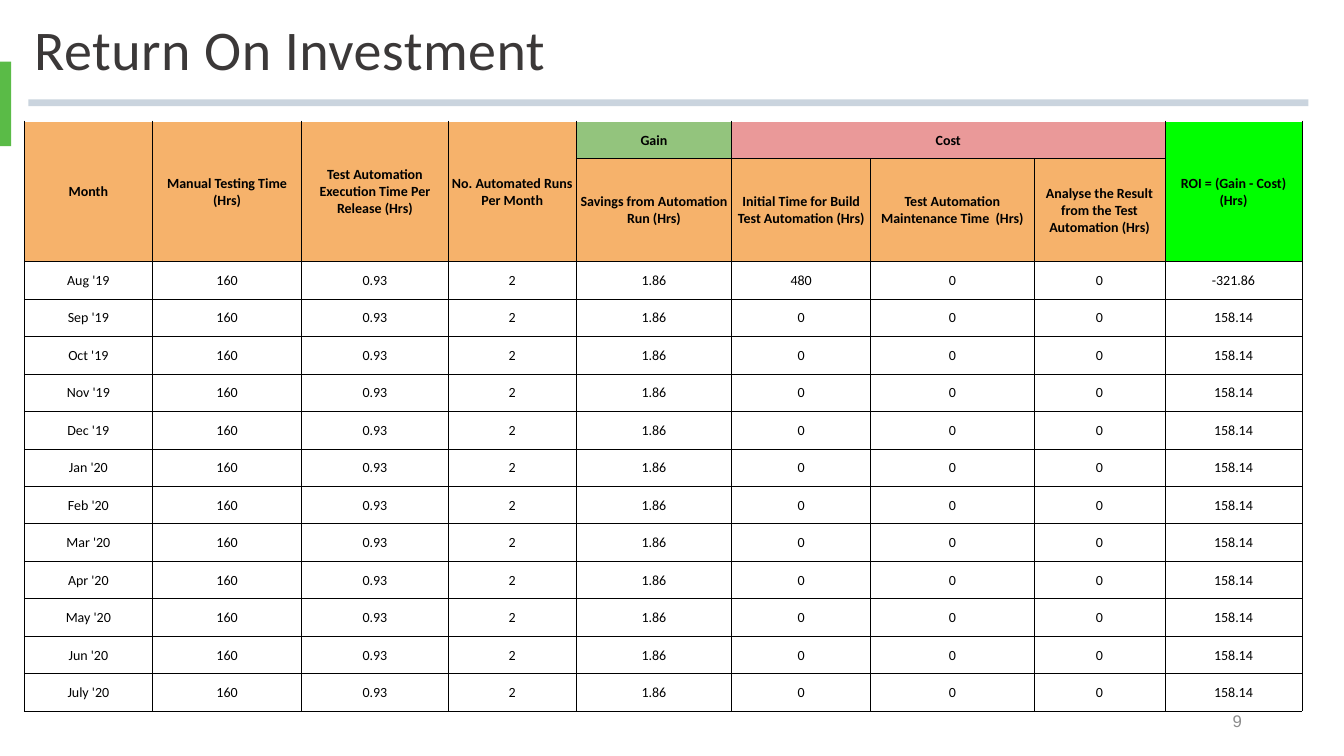
from dataclasses import dataclass

from lxml.etree import SubElement
from pptx import Presentation
from pptx.dml.color import RGBColor
from pptx.enum.shapes import MSO_CONNECTOR, MSO_SHAPE
from pptx.enum.text import MSO_ANCHOR, PP_ALIGN
from pptx.oxml import parse_xml
from pptx.oxml.ns import nsdecls, qn
from pptx.slide import Slide
from pptx.table import Table, _Cell
from pptx.text.text import TextFrame, _Run
from pptx.util import Pt


@dataclass(frozen=True)
class Theme:
    title: str = "3B3838"
    page: str = "8C8C8C"
    rule: str = "507392"
    accent: str = "5ABB47"
    ink: str = "000000"
    header: str = "F6B26B"
    gain: str = "93C47D"
    cost: str = "EA9999"
    roi: str = "00FF00"
    body_font: str = "Calibri"
    page_font: str = "Arial"
    title_size: float = 40
    page_size: float = 12
    table_size: float = 10
    border: float = 0.5


@dataclass(frozen=True)
class Header:
    row: int
    col: int
    text: str
    fill: str
    rows: int = 1
    cols: int = 1


@dataclass(frozen=True)
class TextBox:
    text: str
    left: float
    top: float
    width: float
    height: float
    font: str
    size: float
    color: str
    align: PP_ALIGN
    anchor: MSO_ANCHOR
    line_spacing: float = 1.0
    tracking: int = 0


T = Theme()

COLUMN_WIDTHS = [91.6, 106.6, 104.6, 91.6, 110.9, 99.4, 116.6, 93.6, 97.9]
ROW_HEIGHT = 26.76
SUBHEADER_HEIGHT = 73.5

HEADERS = [
    Header(0, 0, "Month", T.header, rows=2),
    Header(0, 1, "Manual Testing Time (Hrs)", T.header, rows=2),
    Header(0, 2, "Test Automation Execution Time Per Release (Hrs)", T.header, rows=2),
    Header(0, 3, "No. Automated Runs Per Month", T.header, rows=2),
    Header(0, 4, "Gain", T.gain),
    Header(0, 5, "Cost", T.cost, cols=3),
    Header(0, 8, "ROI = (Gain - Cost) (Hrs)", T.roi, rows=2),
    Header(1, 4, "Savings from Automation Run (Hrs)", T.header),
    Header(1, 5, "Initial Time for Build Test Automation (Hrs)", T.header),
    Header(1, 6, "Test Automation Maintenance Time  (Hrs)", T.header),
    Header(1, 7, "Analyse the Result from the Test Automation (Hrs)", T.header),
]

MONTHS = ["Aug '19", "Sep '19", "Oct '19", "Nov '19", "Dec '19", "Jan '20",
          "Feb '20", "Mar '20", "Apr '20", "May '20", "Jun '20", "July '20"]
FIRST_MONTH = ["160", "0.93", "2", "1.86", "480", "0", "0", "-321.86"]
LATER_MONTH = ["160", "0.93", "2", "1.86", "0", "0", "0", "158.14"]

TEXT_BOXES = [
    TextBox("Return On Investment", 17.3, 5.8, 710, 56.9, T.body_font, T.title_size,
            T.title, PP_ALIGN.LEFT, MSO_ANCHOR.BOTTOM, line_spacing=0.9, tracking=40),
    TextBox("9", 678.2, 500.4, 216, 28.8, T.page_font, T.page_size,
            T.page, PP_ALIGN.RIGHT, MSO_ANCHOR.MIDDLE),
]


def rgb(color: str) -> RGBColor:
    return RGBColor.from_string(color)


def add_run(tf: TextFrame, text: str, align: PP_ALIGN, font: str, size: float,
            color: str, bold: bool = False) -> _Run:
    p = tf.paragraphs[0]
    p.alignment = align
    r = p.add_run()
    r.text = text
    r.font.name = font
    r.font.size = Pt(size)
    r.font.bold = bold
    r.font.color.rgb = rgb(color)
    return r


def add_text_box(s: Slide, box: TextBox) -> None:
    sp = s.shapes.add_textbox(Pt(box.left), Pt(box.top), Pt(box.width), Pt(box.height))
    tf = sp.text_frame
    tf.word_wrap = True
    tf.vertical_anchor = box.anchor
    r = add_run(tf, box.text, box.align, box.font, box.size, box.color)
    tf.paragraphs[0].line_spacing = box.line_spacing
    if box.tracking:
        r.font._element.set("spc", str(box.tracking))


def add_rule(s: Slide) -> None:
    """Draw the translucent line under the title."""
    rule = s.shapes.add_connector(MSO_CONNECTOR.STRAIGHT, Pt(20.2), Pt(73.4), Pt(934.6), Pt(73.4))
    rule.line.width = Pt(5)
    rule.line.color.rgb = rgb(T.rule)
    sp_pr = rule._element.spPr
    SubElement(next(sp_pr.iter(qn("a:srgbClr"))), qn("a:alpha"), val="30000")
    SubElement(sp_pr, qn("a:effectLst"))


def add_accent(s: Slide) -> None:
    sp = s.shapes.add_shape(MSO_SHAPE.RECTANGLE, Pt(0), Pt(44), Pt(7.9), Pt(60.5))
    sp.shadow.inherit = False
    sp.fill.solid()
    sp.fill.fore_color.rgb = rgb(T.accent)
    sp.line.fill.background()


def set_borders(cell: _Cell, sides: str) -> None:
    """Outline the given sides, a subset of LRTB in that order."""
    tc_pr = cell._tc.get_or_add_tcPr()
    for i, side in enumerate(sides):
        tc_pr.insert(i, parse_xml(
            f'<a:ln{side} {nsdecls("a")} w="{Pt(T.border)}"><a:solidFill>'
            f'<a:srgbClr val="{T.ink}"/></a:solidFill></a:ln{side}>'))


def write_cell(cell: _Cell, text: str, bold: bool = False) -> None:
    cell.vertical_anchor = MSO_ANCHOR.MIDDLE
    add_run(cell.text_frame, text, PP_ALIGN.CENTER, T.body_font, T.table_size, T.ink, bold)


def add_headers(table: Table) -> None:
    for h in HEADERS:
        cell = table.cell(h.row, h.col)
        if h.rows * h.cols > 1:
            cell.merge(table.cell(h.row + h.rows - 1, h.col + h.cols - 1))
        cell.fill.solid()
        cell.fill.fore_color.rgb = rgb(h.fill)
        write_cell(cell, h.text, bold=True)


def add_roi_table(s: Slide) -> None:
    heights = [ROW_HEIGHT, SUBHEADER_HEIGHT] + [ROW_HEIGHT] * len(MONTHS)
    table = s.shapes.add_table(len(heights), len(COLUMN_WIDTHS), Pt(17.3), Pt(86.6),
                               Pt(sum(COLUMN_WIDTHS)), Pt(sum(heights))).table
    table.first_row = False
    table.horz_banding = False
    for column, width in zip(table.columns, COLUMN_WIDTHS):
        column.width = Pt(width)
    for i, (row, height) in enumerate(zip(table.rows, heights)):
        row.height = Pt(height)
        for cell in row.cells:
            cell.margin_left = cell.margin_right = cell.margin_top = Pt(0.7)
            cell.margin_bottom = Pt(0)
            cell.fill.background()
            set_borders(cell, "LRTB" if i else "LRB")
    add_headers(table)
    for i, month in enumerate(MONTHS):
        values = LATER_MONTH if i else FIRST_MONTH
        for j, text in enumerate([month, *values]):
            write_cell(table.cell(i + 2, j), text)


def main() -> None:
    prs = Presentation()
    prs.slide_width, prs.slide_height = Pt(960), Pt(540)
    s = prs.slides.add_slide(prs.slide_layouts[6])
    add_rule(s)
    add_accent(s)
    for box in TEXT_BOXES:
        add_text_box(s, box)
    add_roi_table(s)
    prs.save("out.pptx")


if __name__ == "__main__":
    main()
